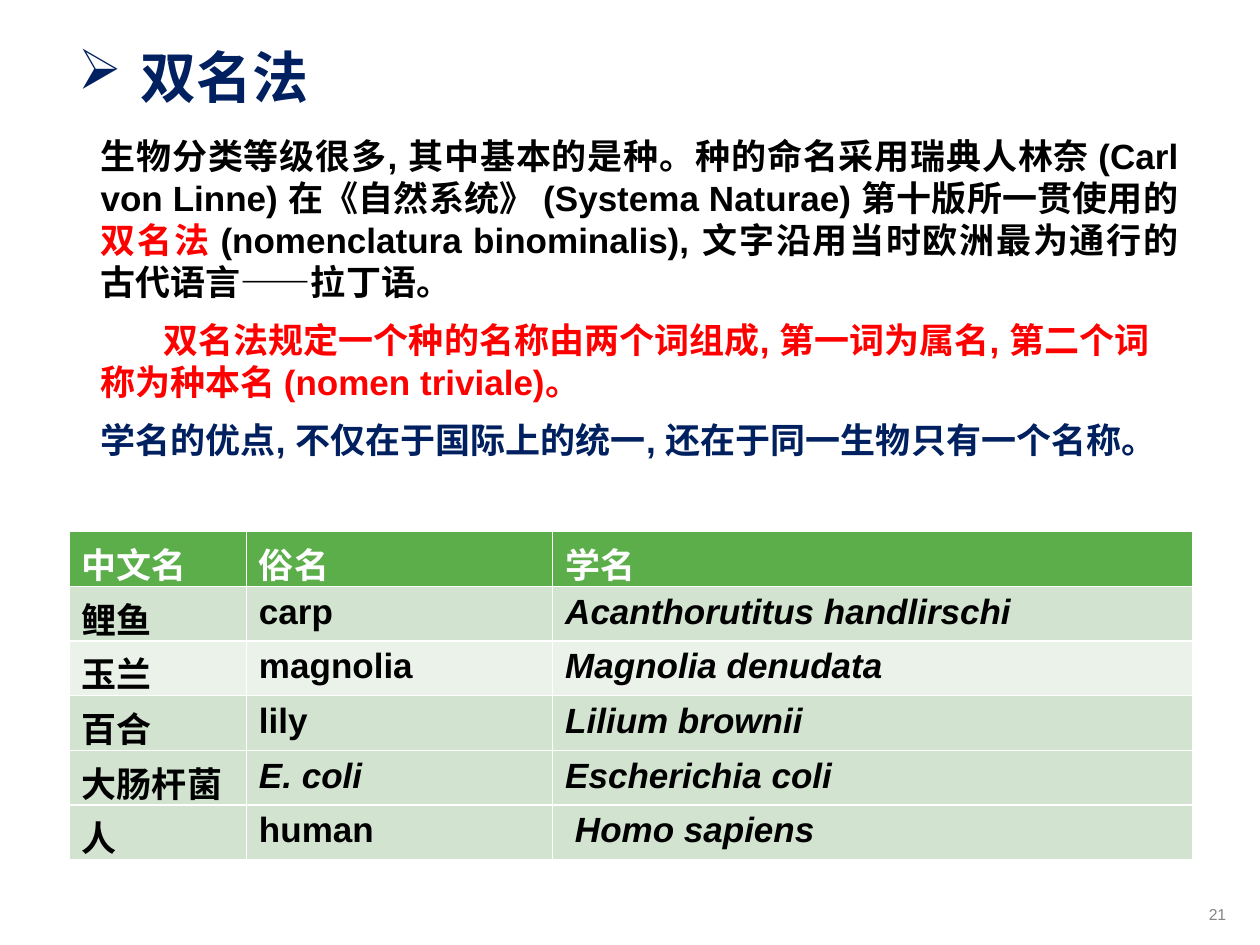
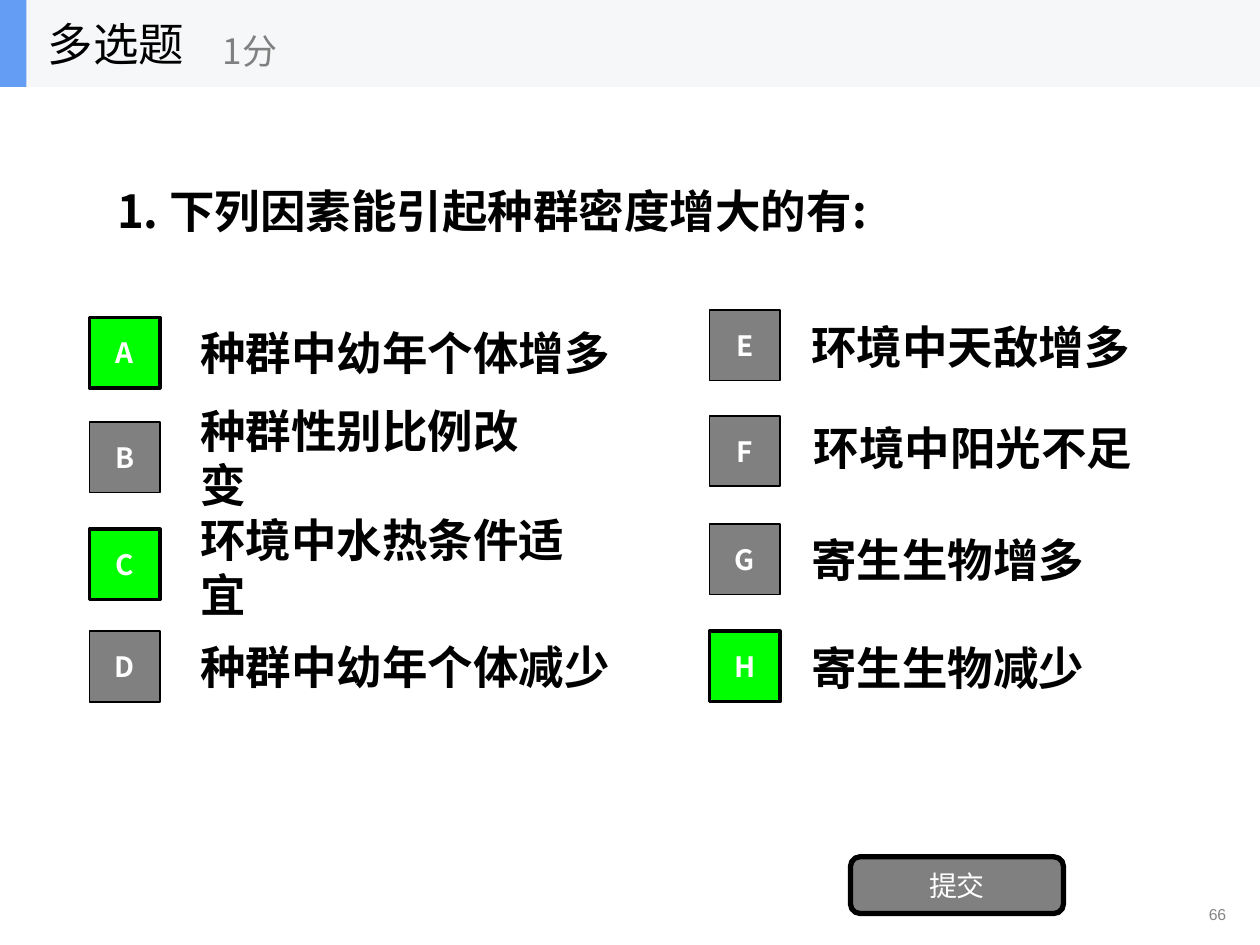
"""Build two biology slides: binomial nomenclature and a multiple-choice question."""
from pptx import Presentation
from pptx.dml.color import RGBColor
from pptx.enum.shapes import MSO_SHAPE
from pptx.enum.text import MSO_ANCHOR, PP_ALIGN
from pptx.oxml.ns import qn
from pptx.util import Pt
from lxml.etree import SubElement

BLACK = RGBColor(0x00, 0x00, 0x00)
WHITE = RGBColor(0xFF, 0xFF, 0xFF)
RED = RGBColor(0xFF, 0x00, 0x00)
NAVY = RGBColor(0x00, 0x20, 0x60)
GRAY = RGBColor(0x80, 0x80, 0x80)
PAGE_GRAY = RGBColor(0x85, 0x85, 0x85)
HEADER_GREEN = RGBColor(0x5B, 0xAE, 0x4A)
BAND_GREEN = RGBColor(0xD2, 0xE3, 0xD0)
PALE_GREEN = RGBColor(0xEA, 0xF2, 0xE9)
CORRECT_GREEN = RGBColor(0x00, 0xFF, 0x00)
BAR_GRAY = RGBColor(0xF6, 0xF7, 0xF8)
BAR_BLUE = RGBColor(0x63, 0x9E, 0xF4)

HEADING = {"name": "Arial", "size": Pt(32), "bold": True}
BODY = {"name": "Arial", "size": Pt(20), "bold": True}
PAGE = {"name": "Arial", "size": Pt(9)}
QUESTION = {"name": "Noto Sans CJK SC", "size": Pt(26), "bold": True}
BADGE = {"name": "Noto Sans CJK SC", "size": Pt(16), "bold": True}
BUTTON = {"name": "Noto Sans CJK SC", "size": Pt(16)}
KIND = {"name": "Noto Sans CJK SC", "size": Pt(26)}
SCORE = {"name": "Noto Sans CJK SC", "size": Pt(20)}


def add_run(paragraph, text, color, formats):
    run = paragraph.add_run()
    run.text = text
    run.font.color.rgb = color
    for attribute, value in formats.items():
        setattr(run.font, attribute, value)


def add_block(slide, place, fill=None, line=None, outline=MSO_SHAPE.RECTANGLE,
              anchor=MSO_ANCHOR.MIDDLE):
    left, top, width, height = map(Pt, place)
    if fill is None:
        block = slide.shapes.add_textbox(left, top, width, height)
    else:
        block = slide.shapes.add_shape(outline, left, top, width, height)
        block.shadow.inherit = False
        block.fill.solid()
        block.fill.fore_color.rgb = fill
        if line:
            block.line.color.rgb = BLACK
            block.line.width = Pt(line)
        else:
            block.line.fill.background()
    block.text_frame.word_wrap = True
    block.text_frame.vertical_anchor = anchor
    return block.text_frame


deck = Presentation()
deck.slide_width, deck.slide_height = Pt(720), Pt(540)
naming = deck.slides.add_slide(deck.slide_layouts[6])
quiz = deck.slides.add_slide(deck.slide_layouts[6])

explanation = add_block(naming, (50.4, 73.4, 630, 262), anchor=MSO_ANCHOR.TOP)
passages = [
    (PP_ALIGN.JUSTIFY, 0, [
        ("生物分类等级很多, 其中基本的是种。种的命名采用瑞典人林奈 (Carl von Linne) "
         "在《自然系统》 (Systema Naturae) 第十版所一贯使用的", BLACK),
        ("双名法 ", RED),
        ("(nomenclatura binominalis), 文字沿用当时欧洲最为通行的古代语言——拉丁语。", BLACK)]),
    (PP_ALIGN.LEFT, 36, [
        ("双名法规定一个种的名称由两个词组成, 第一词为属名, 第二个词称为种本名 "
         "(nomen triviale)。", RED)]),
    (PP_ALIGN.JUSTIFY, 0, [
        ("学名的优点, 不仅在于国际上的统一, 还在于同一生物只有一个名称。", NAVY)]),
]
for index, (alignment, indent, runs) in enumerate(passages):
    passage = explanation.add_paragraph() if index else explanation.paragraphs[0]
    passage.alignment = alignment
    passage.space_before = Pt(9 if index else 0)
    passage._p.get_or_add_pPr().set("indent", str(Pt(indent)))
    for text, color in runs:
        add_run(passage, text, color, BODY)

heading = add_block(naming, (37.4, 20.9, 300, 46), anchor=MSO_ANCHOR.TOP).paragraphs[0]
heading_format = heading._p.get_or_add_pPr()
heading_format.set("marL", str(Pt(36)))
heading_format.set("indent", str(Pt(-36)))
SubElement(heading_format, qn("a:buChar")).set("char", "➢")
add_run(heading, "双名法", NAVY, HEADING)

species = [
    ("中文名", "俗名", "学名"),
    ("鲤鱼", "carp", "Acanthorutitus handlirschi"),
    ("玉兰", "magnolia", "Magnolia denudata"),
    ("百合", "lily", "Lilium brownii"),
    ("大肠杆菌", "E. coli", "Escherichia coli"),
    ("人", "human", "Homo sapiens"),
]
row_fills = [HEADER_GREEN, BAND_GREEN, PALE_GREEN, BAND_GREEN, BAND_GREEN, BAND_GREEN]
row_height = 31.2
names = naming.shapes.add_table(len(species), 3, Pt(39.6), Pt(303.8), Pt(642.2),
                                Pt(row_height * len(species))).table
for column, width in zip(names.columns, (101.2, 175, 366)):
    column.width = Pt(width)
for row, (entries, fill) in enumerate(zip(species, row_fills)):
    names.rows[row].height = Pt(row_height)
    for column, entry in enumerate(entries):
        cell = names.cell(row, column)
        cell.fill.solid()
        cell.fill.fore_color.rgb = fill
        latin_name = row > 0 and (column == 2 or entry == "E. coli")
        add_run(cell.text_frame.paragraphs[0], entry, BLACK if row else WHITE,
                {**BODY, "italic": latin_name})
names.cell(5, 2).margin_left = Pt(12.8)

question = add_block(quiz, (59.8, 95, 576, 50.4))
add_run(question.paragraphs[0], "1. 下列因素能引起种群密度增大的有:", BLACK, QUESTION)

options = [
    ("A", "种群中幼年个体增多", 51.1, 181.4, 107.3, 176.4, 290),
    ("B", "种群性别比例改变", 51.1, 241.2, 107.3, 236.2, 216),
    ("C", "环境中水热条件适宜", 51.1, 302.4, 107.3, 298.8, 240),
    ("D", "种群中幼年个体减少", 51.1, 360.7, 107.3, 355.7, 270),
    ("E", "环境中天敌增多", 405.4, 177.1, 456.5, 172.8, 232),
    ("F", "环境中阳光不足", 405.4, 237.6, 457.9, 230.4, 219),
    ("G", "寄生生物增多", 405.4, 299.5, 456.5, 294.5, 190),
    ("H", "寄生生物减少", 405.4, 360.7, 456.5, 356.4, 188),
]
for letter, answer, badge_left, badge_top, left, top, width in options:
    correct = letter in "ACH"
    badge = add_block(quiz, (badge_left, badge_top, 40.3, 40.3),
                      CORRECT_GREEN if correct else GRAY, 2 if correct else 1)
    badge.paragraphs[0].alignment = PP_ALIGN.CENTER
    add_run(badge.paragraphs[0], letter, WHITE, BADGE)
    choice = add_block(quiz, (left, top, width, 50.4))
    add_run(choice.paragraphs[0], answer, BLACK, QUESTION)

submit = add_block(quiz, (486, 489.6, 121.7, 32.4), GRAY, 3, MSO_SHAPE.ROUNDED_RECTANGLE)
submit.paragraphs[0].alignment = PP_ALIGN.CENTER
add_run(submit.paragraphs[0], "提交", WHITE, BUTTON)

add_block(quiz, (0, 0, 720, 49.7), BAR_GRAY)
add_block(quiz, (0, 0, 15.1, 49.7), BAR_BLUE)
question_kind = add_block(quiz, (20.2, 0, 149.8, 49.7))
add_run(question_kind.paragraphs[0], "多选题", BLACK, KIND)
score = add_block(quiz, (120.2, 8.6, 180, 40.3))
add_run(score.paragraphs[0], "1分", GRAY, SCORE)

for slide, number in ((naming, "21"), (quiz, "66")):
    page = add_block(slide, (563.8, 513.4, 144, 24.5), anchor=MSO_ANCHOR.TOP).paragraphs[0]
    page.alignment = PP_ALIGN.RIGHT
    add_run(page, number, PAGE_GRAY, PAGE)

deck.save("out.pptx")
